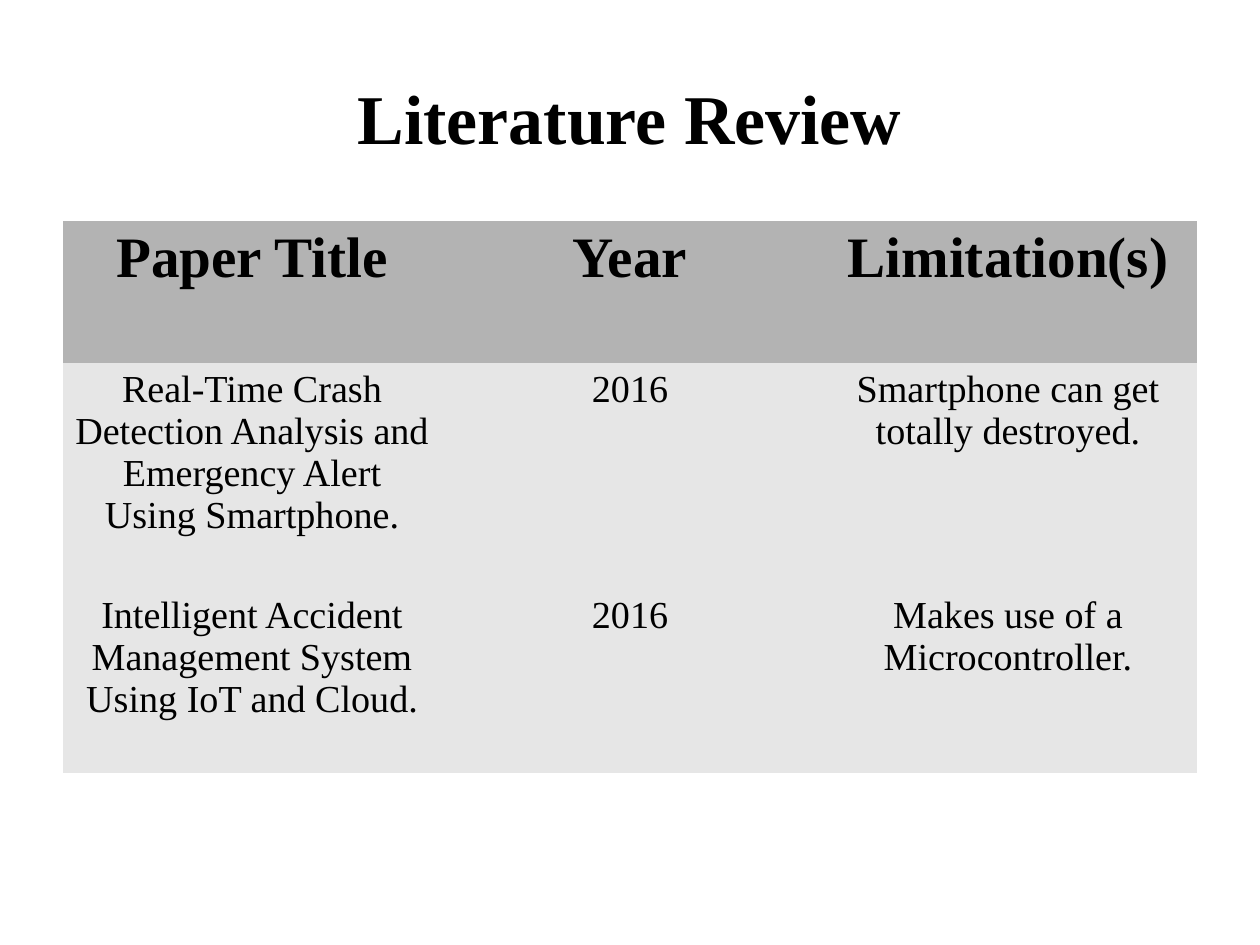
from pptx import Presentation
from pptx.dml.color import RGBColor as Rgb
from pptx.enum.text import MSO_ANCHOR as Anchor, PP_ALIGN as Align
from pptx.oxml.ns import qn
from pptx.util import Cm, Pt

TITLE = "Literature Review"
ROWS = [
    ("Paper Title", "Year", "Limitation(s)"),
    ("Real-Time Crash Detection Analysis and Emergency Alert Using Smartphone.",
     "2016", "Smartphone can get totally destroyed."),
    ("Intelligent Accident Management System Using IoT and Cloud.",
     "2016", "Makes use of a Microcontroller."),
]
HEIGHTS = [3.15, 5.03, 4.09]
COLORS = {"text": "000000", "head": "B3B3B3", "body": "E6E6E6"}
FONT = "Times New Roman"
NO_GRID = "{2D5ABB26-0587-4C30-8999-92F81FD0307C}"
LEFT, WIDTH = 1.4, 25.2


def write(frame, text, size, bold):
    para = frame.paragraphs[0]
    para.text = text
    para.alignment = Align.CENTER
    font = para.font
    font.name, font.size, font.bold = FONT, Pt(size), bold
    font.color.rgb = Rgb.from_string(COLORS["text"])


def add_title(slide):
    box = slide.shapes.add_textbox(Cm(LEFT), Cm(0.84), Cm(WIDTH), Cm(3.5))
    frame = box.text_frame
    frame.word_wrap = True
    frame.vertical_anchor = Anchor.MIDDLE
    frame.margin_left = frame.margin_right = 0
    frame.margin_top = frame.margin_bottom = 0
    write(frame, TITLE, 44, True)


def add_papers(slide):
    count = len(ROWS[0])
    table = slide.shapes.add_table(
        len(ROWS), count, Cm(LEFT), Cm(4.91), Cm(WIDTH), Cm(sum(HEIGHTS))).table
    table.horz_banding = False
    table._tbl.tblPr.find(qn("a:tableStyleId")).text = NO_GRID
    for col in table.columns:
        col.width = Cm(WIDTH / count)
    for r, (row, high) in enumerate(zip(ROWS, HEIGHTS)):
        table.rows[r].height = Cm(high)
        head = r == 0
        for c, text in enumerate(row):
            cell = table.cell(r, c)
            cell.fill.solid()
            cell.fill.fore_color.rgb = Rgb.from_string(
                COLORS["head" if head else "body"])
            write(cell.text_frame, text, 36 if head else 24, head)


def main():
    deck = Presentation()
    deck.slide_width, deck.slide_height = Cm(28), Cm(21)
    slide = deck.slides.add_slide(deck.slide_layouts[6])
    add_title(slide)
    add_papers(slide)
    deck.save("out.pptx")


if __name__ == "__main__":
    main()
